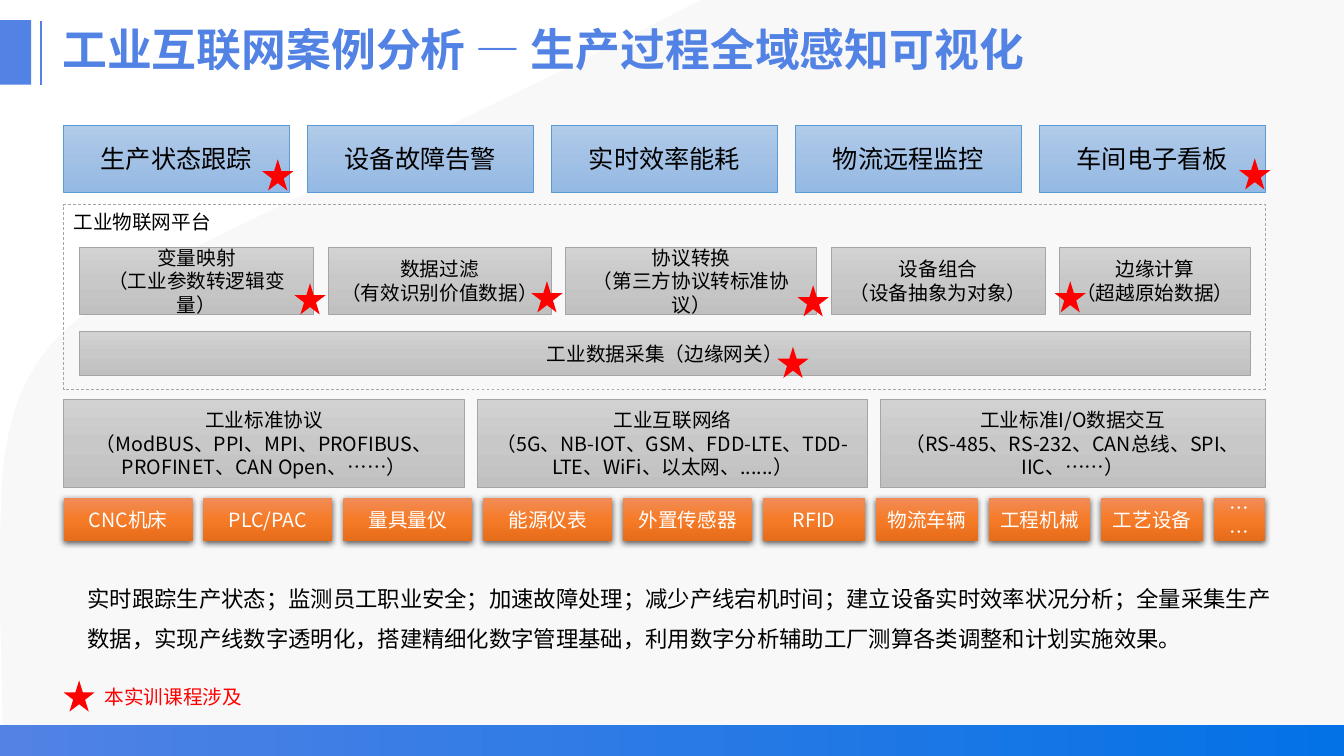
from lxml import etree
from pptx import Presentation
from pptx import util as u
from pptx.dml.color import RGBColor
from pptx.enum import shapes, text
from pptx.oxml.ns import qn

FONT = "Noto Sans CJK SC"
BLUE = RGBColor(0x51, 0x82, 0xE4)
DEEP_BLUE = RGBColor(0x03, 0x72, 0xE6)
BACKDROP = RGBColor(0xF8, 0xF8, 0xF8)
BLACK = RGBColor(0, 0, 0)
WHITE = RGBColor(0xFF, 0xFF, 0xFF)
RED = RGBColor(0xFF, 0, 0)
GREY_LINE = RGBColor(0xA5, 0xA5, 0xA5)
SKY_LINE = RGBColor(0x5B, 0x9B, 0xD5)
GREY_STOPS = [RGBColor(0xD2, 0xD2, 0xD2), RGBColor(0xC8, 0xC8, 0xC8), RGBColor(0xC0, 0xC0, 0xC0)]
SKY_STOPS = [RGBColor(0xB1, 0xCB, 0xE9), RGBColor(0xA3, 0xC1, 0xE5), RGBColor(0x93, 0xB9, 0xE4)]
ORANGE_STOPS = [RGBColor(0xF1, 0x8C, 0x57), RGBColor(0xF6, 0x7B, 0x28), RGBColor(0xE5, 0x6C, 0x19)]

GREY = dict(fill=GREY_STOPS, line=GREY_LINE, size=14, color=BLACK)
SKY = dict(fill=SKY_STOPS, line=SKY_LINE, size=18, color=BLACK)
ORANGE = dict(fill=ORANGE_STOPS, line=None, size=14, color=WHITE, shadow=True)

CURVE = [(13.29, 0), (13.3, 0.22), (13.31, 0.67), (13.32, 1.09), (13.33, 1.47), (13.33, 1.82),
         (13.33, 2.14), (13.32, 2.44), (13.31, 2.7), (13.29, 2.95), (13.25, 3.17), (13.2, 3.37),
         (13.14, 3.56), (13.06, 3.73), (12.96, 3.9), (12.85, 4.05), (12.71, 4.2), (12.55, 4.34),
         (12.37, 4.47), (12.17, 4.61), (11.93, 4.75), (11.67, 4.9), (11.38, 5.05), (11.06, 5.21),
         (10.71, 5.38), (10.32, 5.57), (9.89, 5.77), (9.43, 5.99), (8.93, 6.23), (8.39, 6.49),
         (7.8, 6.78), (7.22, 7.07), (6.69, 7.34), (6.38, 7.5)]

APPS = ["生产状态跟踪", "设备故障告警", "实时效率能耗", "物流远程监控", "车间电子看板"]
FUNCTIONS = ["变量映射\n（工业参数转逻辑变量）", "数据过滤\n（有效识别价值数据）",
             "协议转换\n（第三方协议转标准协议）", "设备组合\n（设备抽象为对象）",
             "边缘计算\n（超越原始数据）"]
LINKS = ["工业标准协议\n（ModBUS、PPI、MPI、PROFIBUS、PROFINET、CAN Open、……）",
         "工业互联网络\n（5G、NB-IOT、GSM、FDD-LTE、TDD-LTE、WiFi、以太网、......）",
         "工业标准I/O数据交互\n（RS-485、RS-232、CAN总线、SPI、IIC、……）"]
DEVICES = ["CNC机床", "PLC/PAC", "量具量仪", "能源仪表", "外置传感器",
           "RFID", "物流车辆", "工程机械", "工艺设备", "……"]
SUMMARY = ("实时跟踪生产状态；监测员工职业安全；加速故障处理；减少产线宕机时间；"
           "建立设备实时效率状况分析；全量采集生产数据，实现产线数字透明化，"
           "搭建精细化数字管理基础，利用数字分析辅助工厂测算各类调整和计划实施效果。")
STARS = [(2.6, 1.58), (12.29, 1.57), (2.92, 2.81), (5.27, 2.79), (7.91, 2.83), (10.46, 2.79),
         (7.71, 3.44)]


def write(sp, content, size, color, align=None, anchor=text.MSO_ANCHOR.MIDDLE, bold=False,
          spacing=None):
    tf = sp.text_frame
    tf.word_wrap = True
    tf.vertical_anchor = anchor
    for i, line in enumerate(content.split("\n")):
        p = tf.add_paragraph() if i else tf.paragraphs[0]
        p.alignment = align or text.PP_ALIGN.LEFT
        if spacing:
            p.line_spacing = spacing
        r = p.add_run()
        r.text = line
        for name, value in dict(name=FONT, size=u.Pt(size), bold=bold).items():
            setattr(r.font, name, value)
        r.font.color.rgb = color
        etree.SubElement(r.font._element, qn("a:ea"), typeface=FONT)


def paint(sp, fill, angle=270):
    """Fill with one colour, a list of evenly spaced gradient colours, or nothing."""
    if fill is None:
        sp.fill.background()
    elif isinstance(fill, list):
        sp.fill.gradient()
        sp.fill.gradient_angle = angle
        stops = sp._element.spPr.find(".//" + qn("a:gsLst"))
        for gs in list(stops):
            stops.remove(gs)
        for i, color in enumerate(fill):
            gs = etree.SubElement(stops, qn("a:gs"), pos=str(100000 * i // (len(fill) - 1)))
            etree.SubElement(gs, qn("a:srgbClr"), val=str(color))
    else:
        sp.fill.solid()
        sp.fill.fore_color.rgb = fill


def add_block(slide, box, fill, line=None, kind=shapes.MSO_SHAPE.RECTANGLE, angle=270):
    sp = slide.shapes.add_shape(kind, *map(u.Inches, box))
    sp.shadow.inherit = False
    paint(sp, fill, angle)
    if line is None:
        sp.line.fill.background()
    else:
        sp.line.color.rgb = line
        sp.line.width = u.Pt(0.5)
    return sp


def add_drop_shadow(sp):
    effects = sp._element.spPr.find(qn("a:effectLst"))
    shadow = etree.SubElement(effects, qn("a:outerShdw"), blurRad=str(u.Pt(4.5)),
                              dist=str(u.Pt(1.5)), dir="5400000", algn="ctr", rotWithShape="0")
    color = etree.SubElement(shadow, qn("a:srgbClr"), val="000000")
    etree.SubElement(color, qn("a:alpha"), val="63000")


def add_label(slide, box, content, **style):
    sp = slide.shapes.add_textbox(*map(u.Inches, box))
    write(sp, content, **style)


def add_row(slide, box, labels, widths, style):
    """Labelled blocks across the box, with equal gaps between them."""
    left, top, width, height = box
    gap = (width - sum(widths)) / max(len(widths) - 1, 1)
    for label, w in zip(labels, widths):
        sp = add_block(slide, (left, top, w, height), style["fill"], style["line"])
        if style.get("shadow"):
            add_drop_shadow(sp)
        write(sp, label, style["size"], style["color"], text.PP_ALIGN.CENTER)
        left += w + gap


def add_star(slide, left, top):
    add_block(slide, (left, top, 0.31, 0.31), RED, kind=shapes.MSO_SHAPE.STAR_5_POINT)


def add_backdrop(slide, width, height):
    points = [(u.Inches(width - x), u.Inches(height - y)) for x, y in CURVE]
    points += [(u.Inches(width), u.Inches(0)), (u.Inches(width), u.Inches(height))]
    builder = slide.shapes.build_freeform(*points[0], scale=1.0)
    builder.add_line_segments(points[1:], close=True)
    sp = builder.convert_to_shape()
    sp.shadow.inherit = False
    paint(sp, BACKDROP)
    sp.line.fill.background()
    add_block(slide, (0, 7.19, width, height - 7.19), [BLUE, DEEP_BLUE], angle=0)


def add_heading(slide, box):
    left, top, width, height = box
    add_block(slide, (left, top, 0.31, height), BLUE)
    x = left + 0.41
    bar = slide.shapes.add_connector(shapes.MSO_CONNECTOR.STRAIGHT, *map(
        u.Inches, (x, top + 0.01, x, top + height)))
    bar.line.color.rgb = BLUE
    bar.line.width = u.Pt(1.5)
    etree.SubElement(bar._element.spPr, qn("a:effectLst"))
    add_label(slide, (left + 0.52, top, width - 0.52, height),
              "工业互联网案例分析 — 生产过程全域感知可视化",
              size=32, color=BLUE, bold=True, spacing=0.9)


def add_platform(slide, box):
    left, top, width, height = box
    frame = add_block(slide, box, None, GREY_LINE)
    frame.line.dash_style = 4
    write(frame, "工业物联网平台", 14, BLACK, anchor=text.MSO_ANCHOR.TOP)
    inner = width - 0.31
    add_row(slide, (left + 0.16, top + 0.42, inner, 0.67), FUNCTIONS,
            [2.32, 2.21, 2.49, 2.12, 1.89], GREY)
    add_row(slide, (left + 0.16, top + 1.26, inner, 0.43), ["工业数据采集（边缘网关）"],
            [inner], GREY)


def add_legend(slide, left, top):
    add_star(slide, left, top + 0.05)
    add_label(slide, (left + 0.31, top, 1.84, 0.42), "本实训课程涉及", size=14, color=RED)


def main():
    prs = Presentation()
    prs.slide_width, prs.slide_height = u.Inches(13.33), u.Inches(7.5)
    slide = prs.slides.add_slide(prs.slide_layouts[6])
    left, width = 0.63, 11.92
    add_backdrop(slide, 13.33, 7.5)
    add_heading(slide, (0, 0.2, 11.54, 0.64))
    add_row(slide, (left, 1.24, width, 0.67), APPS, [2.24] * 5, SKY)
    add_platform(slide, (left, 2.03, width, 1.83))
    add_row(slide, (left, 3.96, width, 0.88), LINKS, [3.98, 3.87, 3.82], GREY)
    add_row(slide, (left, 4.94, width, 0.43), DEVICES, [1.28] * 5 + [1.01] * 4 + [0.51], ORANGE)
    add_label(slide, (0.77, 5.62, 11.96, 1.03), SUMMARY, size=16, color=BLACK,
              anchor=text.MSO_ANCHOR.TOP, spacing=1.5)
    add_legend(slide, left, 6.7)
    for x, y in STARS:
        add_star(slide, x, y)
    prs.save("out.pptx")


if __name__ == "__main__":
    main()
